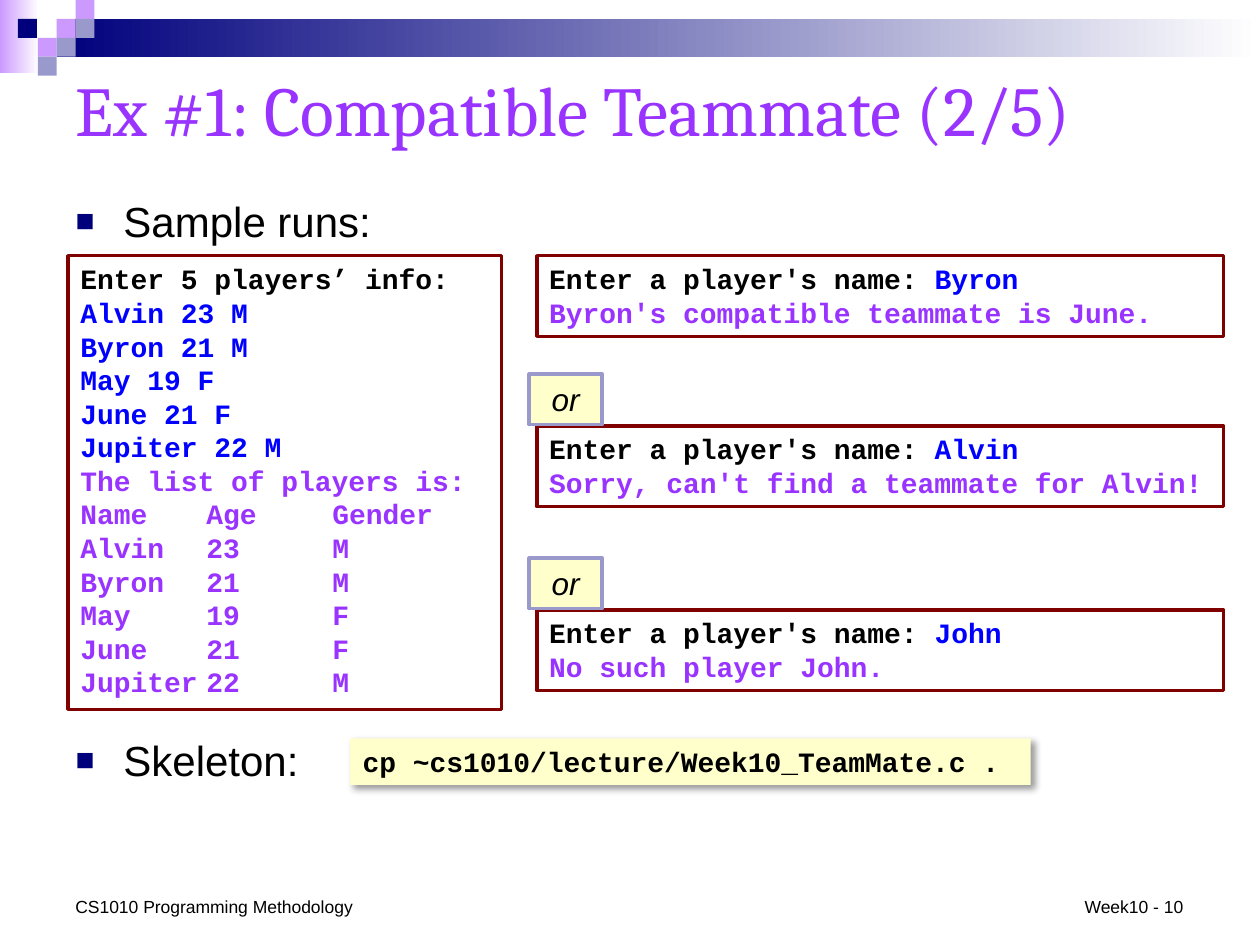
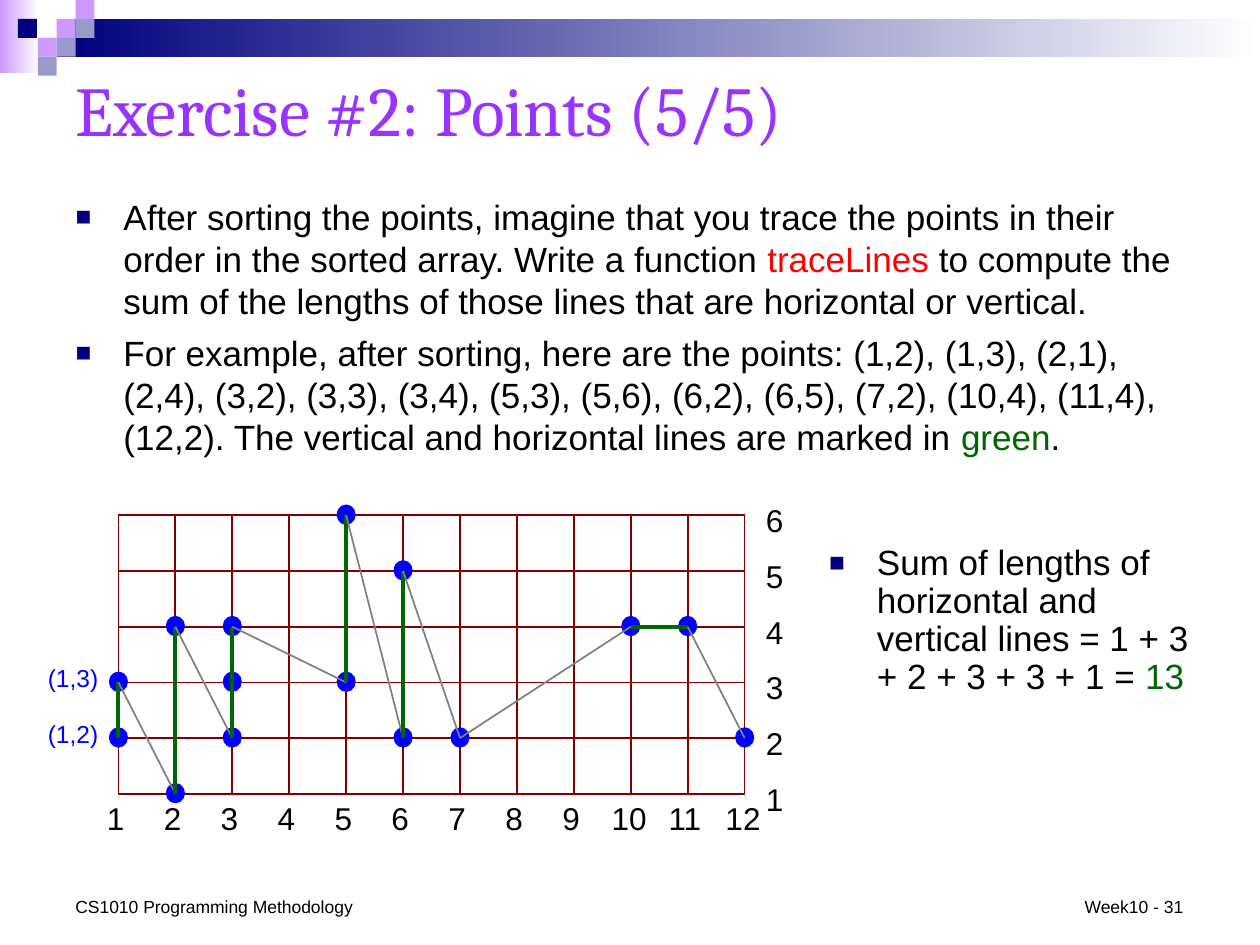
from lxml import etree
from pptx import Presentation
from pptx.dml.color import RGBColor
from pptx.enum.shapes import MSO_CONNECTOR, MSO_SHAPE
from pptx.enum.text import MSO_ANCHOR, MSO_AUTO_SIZE, PP_ALIGN
from pptx.oxml.ns import qn
from pptx.util import Inches, Pt

BLACK, WHITE, NAVY, BLUE = "000000", "FFFFFF", "00007D", "0000FF"
PURPLE, LILAC, STEEL, MAROON = "9933FF", "CC99FF", "9999CC", "800000"
CREAM, RED, GREEN, GREY = "FFFFCC", "FF0000", "006600", "808080"
SANS, SERIF, MONO = "Arial", "Cambria", "Courier New"

POINTS = [(1, 2), (1, 3), (2, 1), (2, 4), (3, 2), (3, 3), (3, 4), (5, 3),
          (5, 6), (6, 2), (6, 5), (7, 2), (10, 4), (11, 4), (12, 2)]


def rgb(color):
    """Turn a hex string into a colour."""
    return RGBColor.from_string(color)


def lengths(*values):
    """Turn inches into lengths."""
    return [Inches(value) for value in values]


def add_xml(parent, tag, **attributes):
    """Append a DrawingML element to a parent."""
    return etree.SubElement(parent, qn("a:" + tag), attributes)


def write(shape, paragraphs, size, font=SANS, bold=None, italic=None,
          align=PP_ALIGN.LEFT, anchor=MSO_ANCHOR.TOP, wrap=True):
    """Fill a shape with paragraphs, each a list of (text, colour) runs."""
    frame = shape.text_frame
    frame.auto_size = MSO_AUTO_SIZE.NONE
    frame.word_wrap = wrap
    frame.vertical_anchor = anchor
    for number, runs in enumerate(paragraphs):
        paragraph = frame.add_paragraph() if number else frame.paragraphs[0]
        paragraph.alignment = align
        for text, color in runs:
            run = paragraph.add_run()
            run.text = text
            run.font.name, run.font.size = font, Pt(size)
            run.font.bold, run.font.italic = bold, italic
            run.font.color.rgb = rgb(color)
    return frame


def label(slide, box, text, size, color=BLACK, **style):
    """Add a plain one-line text box."""
    write(slide.shapes.add_textbox(*lengths(*box)), [[(text, color)]], size, **style)


def block(slide, box, fill=None, line=None, width=1, kind=MSO_SHAPE.RECTANGLE):
    """Add a shape; a pair of fill colours makes a gradient to the right."""
    shape = slide.shapes.add_shape(kind, *lengths(*box))
    shape.shadow.inherit = False
    if isinstance(fill, tuple):
        shape.fill.gradient()
        shape.fill.gradient_angle = 0
        for stop, color in zip(shape.fill.gradient_stops, fill):
            stop.color.rgb = rgb(color)
    elif fill:
        shape.fill.solid()
        shape.fill.fore_color.rgb = rgb(fill)
    else:
        shape.fill.background()
    if line:
        shape.line.color.rgb = rgb(line)
        shape.line.width = Pt(width)
    else:
        shape.line.fill.background()
    return shape


def segment(slide, start, end, color, width):
    """Draw a straight line between two positions."""
    line = slide.shapes.add_connector(MSO_CONNECTOR.STRAIGHT, *lengths(*start, *end))
    line.line.color.rgb = rgb(color)
    line.line.width = Pt(width)
    add_xml(line.element.spPr, "effectLst")


def place(shape, box):
    """Move a placeholder to a box."""
    shape.left, shape.top, shape.width, shape.height = lengths(*box)


def bullets(shape, box, paragraphs, size, before=6, spacing=1.0):
    """Turn a body placeholder into a list with square bullets."""
    place(shape, box)
    for paragraph in write(shape, paragraphs, size).paragraphs:
        paragraph.space_before = Pt(before)
        paragraph.line_spacing = spacing
        props = paragraph._p.get_or_add_pPr()
        props.set("marL", str(Inches(0.38)))
        props.set("indent", str(-Inches(0.38)))
        add_xml(add_xml(props, "buClr"), "srgbClr", val=NAVY)
        add_xml(props, "buSzPct", val="75000")
        add_xml(props, "buFont", typeface=SANS)
        add_xml(props, "buChar", char="■")


def decorate_master(slide, master):
    """Draw the top band and its mosaic, then move them to the master."""
    parts = [block(slide, (0, 0, 0.31, 0.58), (LILAC, WHITE)),
             block(slide, (0.45, 0.15, 9.55, 0.3), (NAVY, WHITE))]
    tile = 0.15
    for column, row, color in [(3, 1, LILAC), (4, 0, LILAC), (4, 1, STEEL),
                               (2, 2, LILAC), (0.95, 1, NAVY),
                               (3, 2, STEEL), (2, 3, STEEL)]:
        parts.append(block(slide, (column * tile, row * tile, tile, tile), color))
    for index, part in enumerate(parts):
        master.shapes.element.insert(2 + index, part.element)


def new_slide(prs, title, page):
    """Add a slide with its title and footer; return it with its two bodies."""
    slide = prs.slides.add_slide(prs.slide_layouts.get_by_name("Two Content"))
    place(slide.shapes.title, (0.5, 0.42, 9, 0.88))
    write(slide.shapes.title, [[(title, PURPLE)]], 40, SERIF, anchor=MSO_ANCHOR.MIDDLE)
    label(slide, (0.5, 7.06, 2.42, 0.27), "CS1010 Programming Methodology", 10)
    label(slide, (8.51, 7.06, 1.01, 0.27), f"Week10 - {page}", 10)
    return slide, slide.placeholders[1], slide.placeholders[2]


def console(slide, box, paragraphs):
    """Show a program's session in a framed box."""
    panel = block(slide, box, WHITE, MAROON, 2)
    for paragraph in write(panel, paragraphs, 16, MONO, bold=True).paragraphs:
        if "\t" in paragraph.text:
            tabs = add_xml(paragraph._p.get_or_add_pPr(), "tabLst")
            for stop in (1, 2):
                add_xml(tabs, "tab", pos=str(Inches(stop)), algn="l")


def player_list(slide, box):
    """Show the run that reads and lists the players."""
    players = ["Alvin 23 M", "Byron 21 M", "May 19 F", "June 21 F", "Jupiter 22 M"]
    listing = ["The list of players is:", "Name\tAge\tGender"]
    listing += [player.replace(" ", "\t") for player in players]
    console(slide, box, [[("Enter 5 players’ info:", BLACK)]]
            + [[(player, BLUE)] for player in players]
            + [[(line, PURPLE)] for line in listing])


def query(slide, box, name, answer, alternative=True):
    """Show one query, with an "or" tag above its corner if an alternative."""
    left, top = box[:2]
    console(slide, box, [[("Enter a player's name: ", BLACK), (name, BLUE)],
                         [(answer, PURPLE)]])
    if alternative:
        tag = block(slide, (left - 0.06, top - 0.41, 0.58, 0.4), CREAM, STEEL, 2)
        write(tag, [[("or", BLACK)]], 18, italic=True, align=PP_ALIGN.CENTER)


def command(slide, box, text):
    """Show a shell command on a card with a soft shadow."""
    card = block(slide, box, CREAM)
    write(card, [[(text, BLACK)]], 16, MONO, bold=True)
    effects = card.element.spPr.find(qn("a:effectLst"))
    shadow = add_xml(effects, "outerShdw", blurRad=str(Pt(4)), dist=str(Pt(3)),
                     dir="2700000", algn="tl", rotWithShape="0")
    add_xml(add_xml(shadow, "srgbClr", val=BLACK), "alpha", val="40000")


def trace_plot(slide, box, columns=11, rows=5):
    """Plot the points on a grid and trace them in order."""
    left, top, width, height = box
    step_x, step_y = width / columns, height / rows

    def spot(point):
        """Give the position of a point on the slide."""
        return left + (point[0] - 1) * step_x, top + (rows + 1 - point[1]) * step_y

    for row in range(rows):
        for column in range(columns):
            block(slide, (left + column * step_x, top + row * step_y, step_x, step_y),
                  line=MAROON)
    for value in range(1, columns + 2):
        shift = 0.19 if value < 10 else 0.25
        label(slide, (spot((value, 1))[0] - shift, top + height - 0.01, 0.5, 0.4),
              str(value), 18)
    for value in range(1, rows + 2):
        label(slide, (left + width + 0.07, spot((1, value))[1] - 0.16, 0.5, 0.4),
              str(value), 18)
    for point in POINTS:
        x, y = spot(point)
        block(slide, (x - 0.06, y - 0.07, 0.12, 0.13), BLUE, BLUE, 2.25, MSO_SHAPE.OVAL)
        if point[0] == 1:
            label(slide, (x - 0.66, y - 0.2, 0.6, 0.34), f"(1,{point[1]})", 14, BLUE,
                  align=PP_ALIGN.CENTER, wrap=False)
    # (3,3) lies inside a longer vertical line
    stops = [point for point in POINTS if point != (3, 3)]
    for start, end in zip(stops, stops[1:]):
        straight = start[0] == end[0] or start[1] == end[1]
        color, weight = (GREEN, 2.25) if straight else (GREY, 1)
        segment(slide, spot(start), spot(end), color, weight)


def teammate_slide(prs):
    """Build the slide of sample runs."""
    slide, runs, skeleton = new_slide(prs, "Ex #1: Compatible Teammate (2/5)", 10)
    decorate_master(slide, prs.slide_master)
    bullets(runs, (0.5, 1.5, 2.57, 0.5), [[("Sample runs:", BLACK)]], 24)
    bullets(skeleton, (0.5, 5.78, 1.98, 0.5), [[("Skeleton:", BLACK)]], 24)
    player_list(slide, (0.54, 2.03, 3.44, 3.6))
    size = (5.45, 0.64)
    query(slide, (4.26, 2.03, *size), "Byron",
          "Byron's compatible teammate is June.", alternative=False)
    query(slide, (4.26, 3.38, *size), "Alvin", "Sorry, can't find a teammate for Alvin!")
    query(slide, (4.26, 4.84, *size), "John", "No such player John.")
    command(slide, (2.78, 5.86, 5.4, 0.37), "cp ~cs1010/lecture/Week10_TeamMate.c .")


def points_slide(prs):
    """Build the slide of traced points."""
    slide, task, total = new_slide(prs, "Exercise #2: Points (5/5)", 31)
    listed = ", ".join(f"({x},{y})" for x, y in POINTS)
    bullets(task, (0.5, 1.5, 9, 2.2), [
        [("After sorting the points, imagine that you trace the points in their order "
          "in the sorted array. Write a function ", BLACK), ("traceLines ", RED),
         ("to compute the sum of the lengths of those lines that are horizontal "
          "or vertical.", BLACK)],
        [(f"For example, after sorting, here are the points: {listed}. The vertical "
          "and horizontal lines are marked in ", BLACK), ("green", GREEN), (".", BLACK)],
    ], 20)
    trace_plot(slide, (0.94, 4.09, 4.97, 2.21))
    bullets(total, (6.48, 4.28, 3.18, 1.85), [
        [("Sum of lengths of horizontal and vertical lines = "
          "1 + 3 + 2 + 3 + 3 + 1 = ", BLACK), ("13", GREEN)],
    ], 20, before=12, spacing=0.9)


prs = Presentation()
prs.slide_width, prs.slide_height = lengths(10, 7.5)
teammate_slide(prs)
points_slide(prs)
prs.save("out.pptx")
